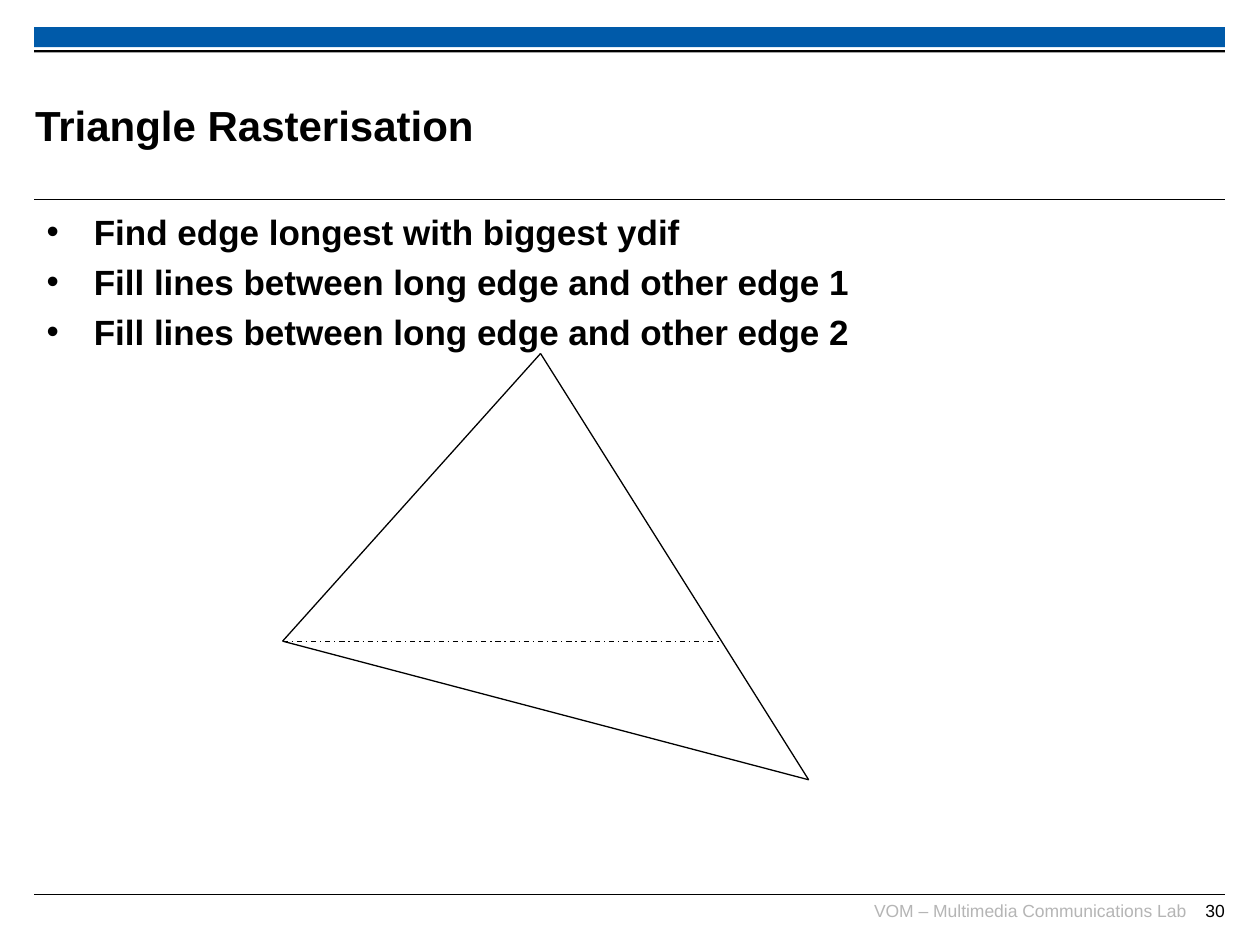
from dataclasses import dataclass

from pptx import Presentation
from pptx.dml.color import RGBColor as Rgb
from pptx.enum.dml import MSO_LINE_DASH_STYLE as Dash
from pptx.enum.shapes import MSO_CONNECTOR as Connector, MSO_SHAPE as Shape
from pptx.enum.text import MSO_ANCHOR as Anchor, PP_ALIGN as Align
from pptx.oxml.ns import qn
from pptx.slide import Slide
from pptx.util import Pt
from lxml.etree import SubElement


@dataclass(frozen=True)
class Theme:
    font: str = "Arial"
    black: Rgb = Rgb(0, 0, 0)
    blue: Rgb = Rgb(0x00, 0x5A, 0xA9)
    grey: Rgb = Rgb(0xB5, 0xB5, 0xB5)
    title_size: float = 24
    body_size: float = 20
    footer_size: float = 10
    rule_width: float = 0.6
    edge_width: float = 0.75


@dataclass(frozen=True)
class Box:
    left: float
    top: float
    width: float
    height: float


@dataclass(frozen=True)
class Point:
    x: float
    y: float


@dataclass(frozen=True)
class Segment:
    start: Point
    end: Point
    width: float
    dash: Dash | None = None


@dataclass(frozen=True)
class Label:
    box: Box
    lines: tuple[str, ...]
    size: float
    color: Rgb
    bold: bool = False
    align: Align = Align.LEFT
    anchor: Anchor = Anchor.TOP
    inset: Point = Point(0, 0)
    space_before: float = 0
    bullet_indent: float = 0


THEME = Theme()
LEFT, WIDTH = 19.5, 680.4
RIGHT = LEFT + WIDTH

BARS = (
    (Box(LEFT, 15.6, WIDTH, 11.4), THEME.blue),
    (Box(LEFT, 28.6, WIDTH, 1.4), THEME.black),
)

APEX, CORNER, BASE = Point(308.9, 202), Point(161.5, 366.4), Point(462.1, 445.6)
ratio = (CORNER.y - APEX.y) / (BASE.y - APEX.y)
CROSSING = Point(APEX.x + ratio * (BASE.x - APEX.x), CORNER.y)

SEGMENTS = (
    *(Segment(Point(LEFT, y), Point(RIGHT, y), THEME.rule_width)
      for y in (114.2, 511)),
    *(Segment(start, end, THEME.edge_width)
      for start, end in ((APEX, CORNER), (CORNER, BASE), (APEX, BASE))),
    Segment(CORNER, CROSSING, THEME.edge_width, Dash.DASH_DOT),
)

LABELS = (
    Label(Box(LEFT + 0.5, 38.2, 541.4, 66.2), ("Triangle Rasterisation",),
          THEME.title_size, THEME.black, bold=True, anchor=Anchor.MIDDLE),
    Label(Box(LEFT, 116.8, WIDTH, 391),
          ("Find edge longest with biggest ydif",
           "Fill lines between long edge and other edge 1",
           "Fill lines between long edge and other edge 2"),
          THEME.body_size, THEME.black, bold=True, inset=Point(7.2, 3.6),
          space_before=4.6, bullet_indent=27),
    Label(Box(496, 514, 181.7, 18), ("VOM – Multimedia Communications Lab",),
          THEME.footer_size, THEME.grey, align=Align.RIGHT),
    Label(Box(RIGHT - 31, 514, 31, 18), ("30",),
          THEME.footer_size, THEME.black, align=Align.RIGHT),
)


def draw_bar(slide: Slide, box: Box, color: Rgb) -> None:
    bar = slide.shapes.add_shape(Shape.RECTANGLE, Pt(box.left), Pt(box.top),
                                 Pt(box.width), Pt(box.height))
    bar.shadow.inherit = False
    bar.fill.solid()
    bar.fill.fore_color.rgb = color
    bar.line.fill.background()


def draw_segment(slide: Slide, segment: Segment) -> None:
    edge = slide.shapes.add_connector(
        Connector.STRAIGHT, Pt(segment.start.x), Pt(segment.start.y),
        Pt(segment.end.x), Pt(segment.end.y))
    edge.line.color.rgb = THEME.black
    edge.line.width = Pt(segment.width)
    if segment.dash is not None:
        edge.line.dash_style = segment.dash
    SubElement(edge._element.spPr, qn("a:effectLst"))


def draw_label(slide: Slide, label: Label) -> None:
    box = label.box
    frame = slide.shapes.add_textbox(Pt(box.left), Pt(box.top), Pt(box.width),
                                     Pt(box.height)).text_frame
    frame.word_wrap = True
    frame.vertical_anchor = label.anchor
    frame.margin_left = frame.margin_right = Pt(label.inset.x)
    frame.margin_top = frame.margin_bottom = Pt(label.inset.y)
    for index, line in enumerate(label.lines):
        paragraph = frame.add_paragraph() if index else frame.paragraphs[0]
        paragraph.alignment = label.align
        paragraph.space_before = Pt(label.space_before)
        if label.bullet_indent:
            properties = paragraph._p.get_or_add_pPr()
            properties.set("marL", str(Pt(label.bullet_indent)))
            properties.set("indent", str(-Pt(label.bullet_indent)))
            SubElement(properties, qn("a:buFont"), typeface=THEME.font)
            SubElement(properties, qn("a:buChar"), char="•")
        run = paragraph.add_run()
        run.text = line
        run.font.name = THEME.font
        run.font.size = Pt(label.size)
        run.font.bold = label.bold
        run.font.color.rgb = label.color


def main() -> None:
    deck = Presentation()
    deck.slide_width, deck.slide_height = Pt(720), Pt(540)
    slide = deck.slides.add_slide(deck.slide_layouts[6])
    for box, color in BARS:
        draw_bar(slide, box, color)
    for label in LABELS:
        draw_label(slide, label)
    for segment in SEGMENTS:
        draw_segment(slide, segment)
    deck.save("out.pptx")


if __name__ == "__main__":
    main()
